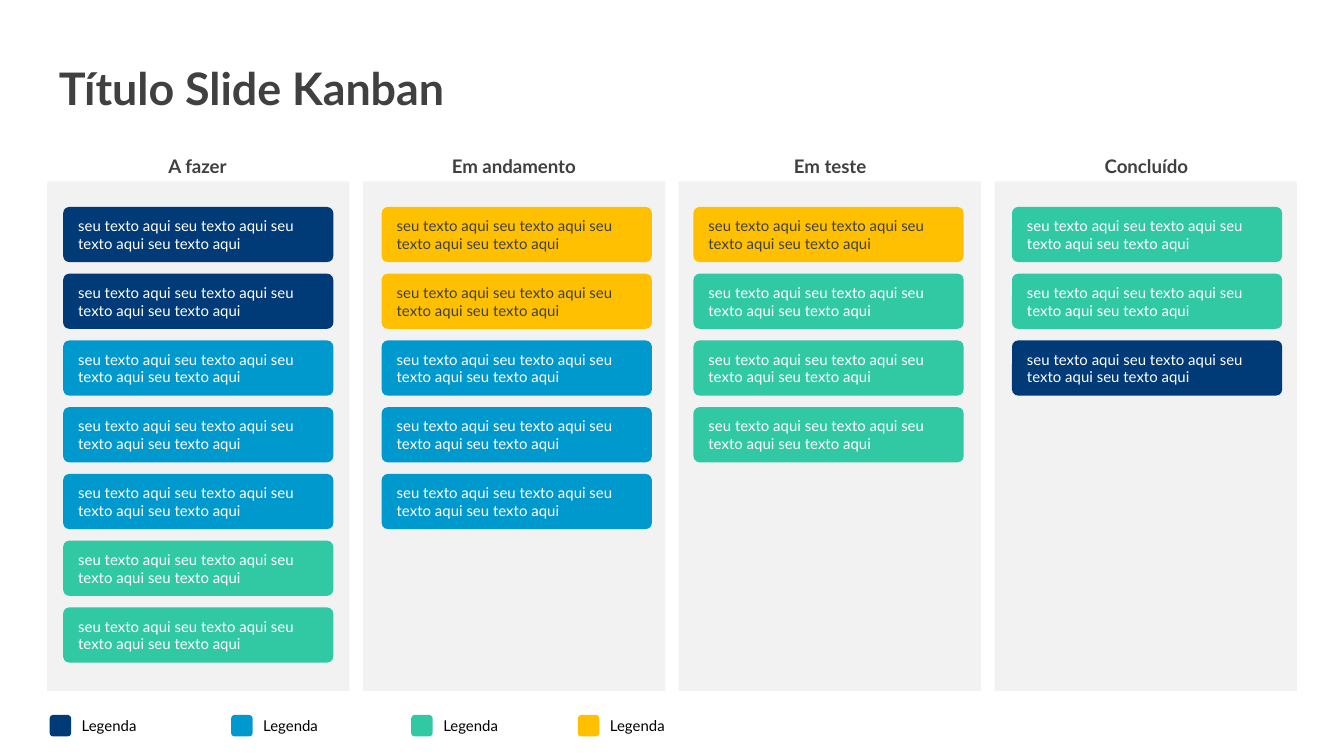
import pptx
import pptx.dml.color
import pptx.enum.shapes
import pptx.enum.text
import pptx.util

Inches = pptx.util.Inches
Shape = pptx.enum.shapes.MSO_SHAPE
Align = pptx.enum.text.PP_ALIGN
Anchor = pptx.enum.text.MSO_ANCHOR
AutoSize = pptx.enum.text.MSO_AUTO_SIZE

NAVY, BLUE, GREEN, YELLOW = "003A77", "0099CE", "31C8A4", "FFC001"
DARK, WHITE, BLACK, PANEL = "404040", "FFFFFF", "000000", "F2F2F2"
CARD_TEXT = "seu texto aqui seu texto aqui seu texto aqui seu texto aqui"


def add_block(shapes, kind, box, color):
    block = shapes.add_shape(kind, *map(Inches, box))
    block.shadow.inherit = False
    block.fill.solid()
    block.fill.fore_color.rgb = pptx.dml.color.RGBColor.from_string(color)
    block.line.fill.background()
    return block


def write(holder, text, size, color, align=Align.LEFT, bold=False, **frame_format):
    frame = holder.text_frame
    for key, value in {"word_wrap": True, **frame_format}.items():
        setattr(frame, key, value)
    paragraph = frame.paragraphs[0]
    paragraph.alignment = align
    run = paragraph.add_run()
    run.text = text
    for key, value in {"name": "Lato", "size": pptx.util.Pt(size), "bold": bold}.items():
        setattr(run.font, key, value)
    run.font.color.rgb = pptx.dml.color.RGBColor.from_string(color)


deck = pptx.Presentation()
deck.slide_width, deck.slide_height = Inches(10), Inches(10 * 9 / 16)
slide = deck.slides.add_slide(deck.slide_layouts[6])

stages = [
    ("A fazer", 0.47, [NAVY] * 2 + [BLUE] * 3 + [GREEN] * 2),
    ("Em andamento", 2.84, [YELLOW] * 2 + [BLUE] * 3),
    ("Em teste", 5.16, [YELLOW] + [GREEN] * 3),
    ("Concluído", 7.53, [GREEN] * 2 + [NAVY]),
]
panel_pitch = 2.35
heading_left = 0.7
heading_pitch = (7.76 - heading_left) / 3
card_top = 1.54
card_pitch = (4.52 - card_top) / 6

for column in range(len(stages)):
    add_block(slide.shapes, Shape.RECTANGLE,
              (0.35 + column * panel_pitch, 1.35, 2.25, 3.79), PANEL)

title = slide.shapes.add_textbox(Inches(0.34), Inches(0.4), Inches(7.18), Inches(0.5))
write(title, "Título Slide Kanban", 24, DARK, bold=True,
      vertical_anchor=Anchor.MIDDLE, auto_size=AutoSize.SHAPE_TO_FIT_TEXT)

for column, (stage, card_left, card_colors) in enumerate(stages):
    heading = slide.shapes.add_textbox(
        Inches(heading_left + column * heading_pitch), Inches(1.1), Inches(1.54), Inches(0.27))
    write(heading, stage, 10, DARK, Align.CENTER, True,
          auto_size=AutoSize.SHAPE_TO_FIT_TEXT)
    for row, color in enumerate(card_colors):
        card = add_block(slide.shapes, Shape.ROUNDED_RECTANGLE,
                         (card_left, card_top + row * card_pitch, 2.01, 0.41), color)
        card.adjustments[0] = 0.11
        write(card, CARD_TEXT, 8, DARK if color == YELLOW else WHITE,
              vertical_anchor=Anchor.MIDDLE)

for left, color in [(0.37, NAVY), (1.72, BLUE), (3.06, GREEN), (4.3, YELLOW)]:
    legend = slide.shapes.add_group_shape()
    add_block(legend.shapes, Shape.ROUNDED_RECTANGLE, (left, 5.32, 0.16, 0.16), color)
    label = legend.shapes.add_textbox(
        Inches(left + 0.14), Inches(5.31), Inches(0.86), Inches(0.18))
    write(label, "Legenda", 8, BLACK, vertical_anchor=Anchor.MIDDLE,
          auto_size=AutoSize.SHAPE_TO_FIT_TEXT,
          margin_top=Inches(0.02), margin_bottom=Inches(0.02))

deck.save("out.pptx")
